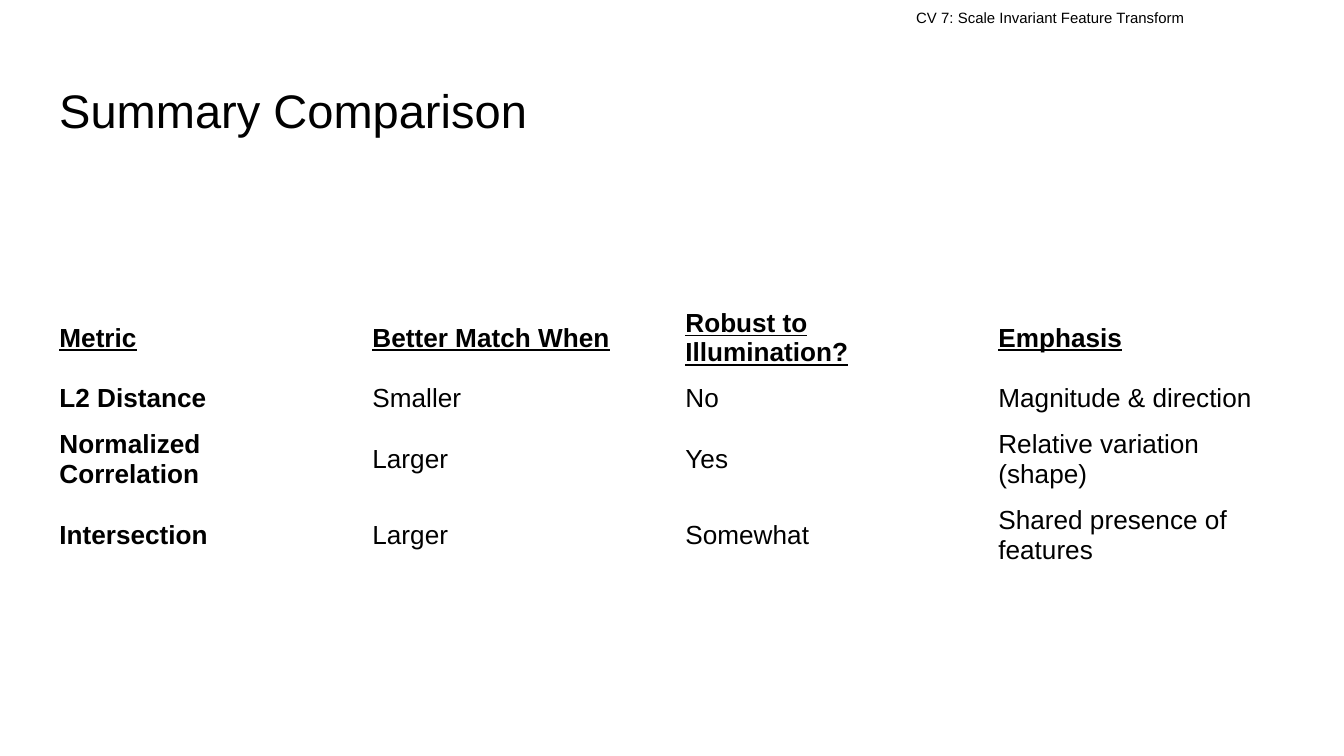
import pptx
import pptx.util
import pptx.dml.color
import pptx.enum.text

PX = 914400 / 134.4
COLORS = {"text": "000000", "page": "FFFFFF"}


def px(n):
    return pptx.util.Emu(round(n * PX))


def style(p, size, bold=False, underline=False):
    p.font.name = "Arial"
    p.font.size = pptx.util.Pt(size)
    p.font.bold = bold
    p.font.underline = underline
    p.font.color.rgb = pptx.dml.color.RGBColor.from_string(COLORS["text"])


prs = pptx.Presentation()
prs.slide_width, prs.slide_height = px(1344), px(756)
s = prs.slides.add_slide(prs.slide_layouts[6])
s.background.fill.solid()
s.background.fill.fore_color.rgb = pptx.dml.color.RGBColor.from_string(COLORS["page"])

texts = [
    ("CV 7: Scale Invariant Feature Transform", 903, 0, 441, 46, 8, "TOP"),
    ("Summary Comparison", 46, 66, 1252, 85, 25.2, "BOTTOM"),
]
for text, left, top, width, height, size, anchor in texts:
    tf = s.shapes.add_textbox(px(left), px(top), px(width), px(height)).text_frame
    tf.word_wrap = True
    tf.vertical_anchor = pptx.enum.text.MSO_ANCHOR[anchor]
    tf.margin_left = tf.margin_right = tf.margin_top = tf.margin_bottom = pptx.util.Inches(0.1)
    p = tf.paragraphs[0]
    p.text = text
    style(p, size)

rows = [
    ("Metric", "Better Match When", "Robust to Illumination?", "Emphasis"),
    ("L2 Distance", "Smaller", "No", "Magnitude & direction"),
    ("Normalized Correlation", "Larger", "Yes", "Relative variation (shape)"),
    ("Intersection", "Larger", "Somewhat", "Shared presence of features"),
]
heights = [72, 43, 72, 72]
table = s.shapes.add_table(4, 4, px(46), px(300), px(1252), px(sum(heights))).table
table.first_row = table.horz_banding = False
for i, row in enumerate(rows):
    table.rows[i].height = px(heights[i])
    for j, text in enumerate(row):
        cell = table.cell(i, j)
        cell.fill.background()
        cell.vertical_anchor = pptx.enum.text.MSO_ANCHOR.MIDDLE
        p = cell.text_frame.paragraphs[0]
        p.text = text
        style(p, 14, bold=i == 0 or j == 0, underline=i == 0)

prs.save("out.pptx")
